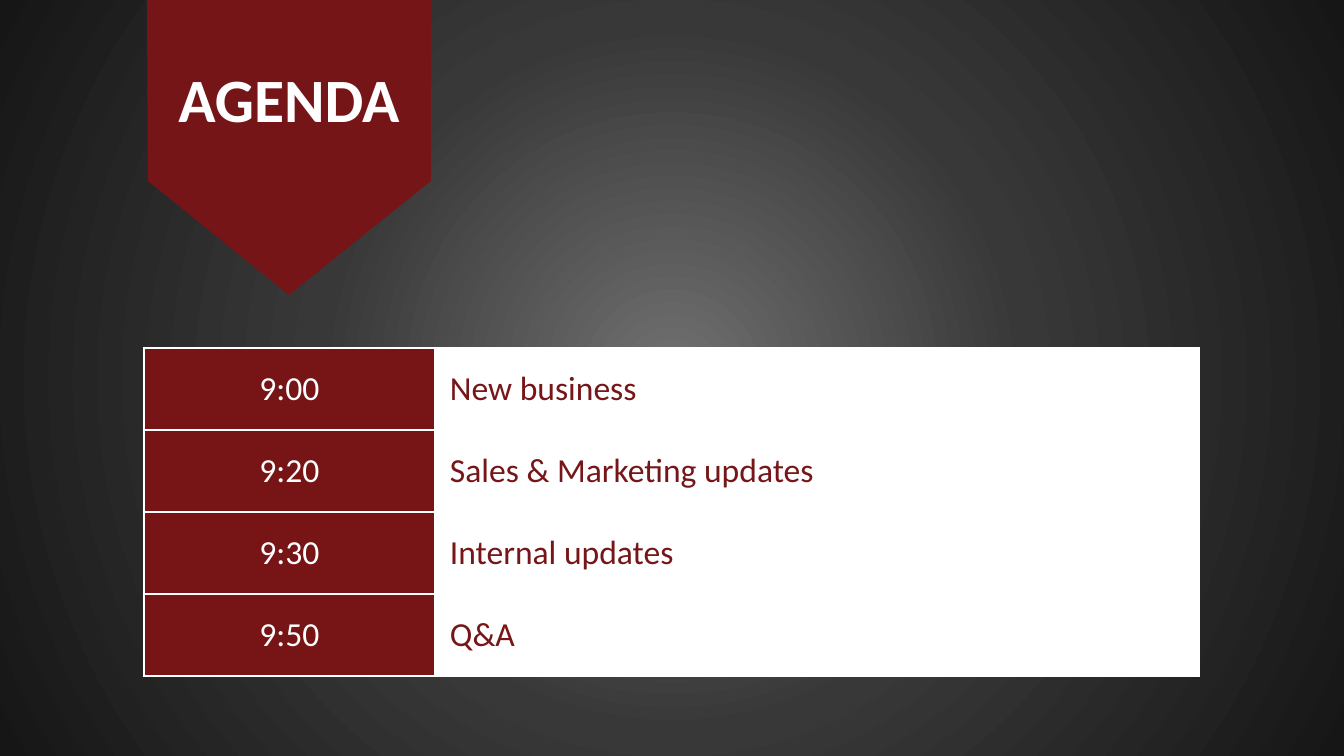
from lxml import etree
from pptx import Presentation
from pptx.dml.color import RGBColor
from pptx.enum.text import MSO_ANCHOR, MSO_AUTO_SIZE, PP_ALIGN
from pptx.oxml import parse_xml
from pptx.oxml.ns import nsdecls, qn
from pptx.util import Emu, Pt

CENTER, LEFT = PP_ALIGN.CENTER, PP_ALIGN.LEFT
MIDDLE = MSO_ANCHOR.MIDDLE
NO_AUTOFIT = MSO_AUTO_SIZE.NONE

SLIDE_WIDTH, SLIDE_HEIGHT = 1344, 756
SCALE = 12192000 / SLIDE_WIDTH

BANNER_RED = RGBColor(0x76, 0x15, 0x17)
TIME_RED = RGBColor(0x76, 0x14, 0x16)
TOPIC_RED = RGBColor(0x76, 0x16, 0x18)
WHITE = RGBColor(0xFF, 0xFF, 0xFF)
BACKGROUND_STOPS = [
    (0, RGBColor(0x70, 0x70, 0x70)),
    (46, RGBColor(0x38, 0x38, 0x38)),
    (100, RGBColor(0x16, 0x16, 0x16)),
]

BANNER_POINTS = [(147, 0), (431, 0), (431, 181), (289, 295), (148, 181)]
COLUMN_WIDTHS = [291, 764]
ROW_HEIGHT = 82
CELL_MARGIN = 15
AGENDA = [
    ("9:00", "New business"),
    ("9:20", "Sales & Marketing updates"),
    ("9:30", "Internal updates"),
    ("9:50", "Q&A"),
]


def px(length):
    return Emu(round(length * SCALE))


def write_text(text_frame, text, size=24, color=WHITE, bold=False,
               align=LEFT, line_spacing=None):
    paragraph = text_frame.paragraphs[0]
    paragraph.alignment = align
    paragraph.line_spacing = line_spacing
    run = paragraph.add_run()
    run.text = text
    run.font.name = "Calibri"
    run.font.size = Pt(size)
    run.font.bold = bold
    run.font.color.rgb = color


def set_background(slide):
    slide.background.fill.solid()
    properties = slide.element.find(".//" + qn("p:bgPr"))
    stops = "".join(
        f'<a:gs pos="{position * 1000}"><a:srgbClr val="{color}"/></a:gs>'
        for position, color in BACKGROUND_STOPS
    )
    gradient = parse_xml(
        f'<a:gradFill {nsdecls("a")} rotWithShape="1"><a:gsLst>{stops}</a:gsLst>'
        '<a:path path="circle">'
        '<a:fillToRect l="50000" t="50000" r="50000" b="50000"/>'
        '</a:path></a:gradFill>'
    )
    properties.replace(properties[0], gradient)


def add_banner(slide):
    builder = slide.shapes.build_freeform(*BANNER_POINTS[0], scale=SCALE)
    builder.add_line_segments(BANNER_POINTS[1:], close=True)
    banner = builder.convert_to_shape()
    banner.shadow.inherit = False
    banner.fill.solid()
    banner.fill.fore_color.rgb = BANNER_RED
    banner.line.fill.background()
    return banner


def format_title(slide, text, left, top, width, height):
    title = slide.shapes.title
    title.left, title.top = px(left), px(top)
    title.width, title.height = px(width), px(height)
    frame = title.text_frame
    frame.word_wrap = True
    frame.auto_size = NO_AUTOFIT
    frame.vertical_anchor = MIDDLE
    write_text(frame, text, size=44, bold=True, align=CENTER, line_spacing=0.9)
    return title


def add_borders(cell, color, width):
    properties = cell._tc.get_or_add_tcPr()
    for side in ("a:lnL", "a:lnR", "a:lnT", "a:lnB"):
        border = etree.SubElement(properties, qn(side), w=str(Pt(width)))
        fill = etree.SubElement(border, qn("a:solidFill"))
        etree.SubElement(fill, qn("a:srgbClr"), val=str(color))
        etree.SubElement(border, qn("a:prstDash"), val="solid")


def format_cell(cell, text, fill, color, align):
    add_borders(cell, WHITE, 2.25)
    cell.fill.solid()
    cell.fill.fore_color.rgb = fill
    cell.vertical_anchor = MIDDLE
    write_text(cell.text_frame, text, color=color, align=align)


def add_agenda_table(slide, left, top):
    frame = slide.shapes.add_table(
        len(AGENDA), len(COLUMN_WIDTHS), px(left), px(top),
        px(sum(COLUMN_WIDTHS)), px(ROW_HEIGHT * len(AGENDA)))
    table = frame.table
    table.first_row = False
    table.horz_banding = False
    for column, width in zip(table.columns, COLUMN_WIDTHS):
        column.width = px(width)
    for row, (time, topic) in zip(table.rows, AGENDA):
        row.height = px(ROW_HEIGHT)
        time_cell, topic_cell = row.cells
        format_cell(time_cell, time, TIME_RED, WHITE, CENTER)
        format_cell(topic_cell, topic, WHITE, TOPIC_RED, LEFT)
        topic_cell.margin_left = topic_cell.margin_right = px(CELL_MARGIN)
        topic_cell.margin_top = topic_cell.margin_bottom = px(CELL_MARGIN)


def main():
    presentation = Presentation()
    presentation.slide_width = px(SLIDE_WIDTH)
    presentation.slide_height = px(SLIDE_HEIGHT)
    slide = presentation.slides.add_slide(presentation.slide_layouts[5])
    set_background(slide)
    banner = add_banner(slide)
    title = format_title(slide, "AGENDA", 147, 56, 284, 94)
    title.element.addprevious(banner.element)
    add_agenda_table(slide, 144, 348)
    presentation.save("out.pptx")


if __name__ == "__main__":
    main()
